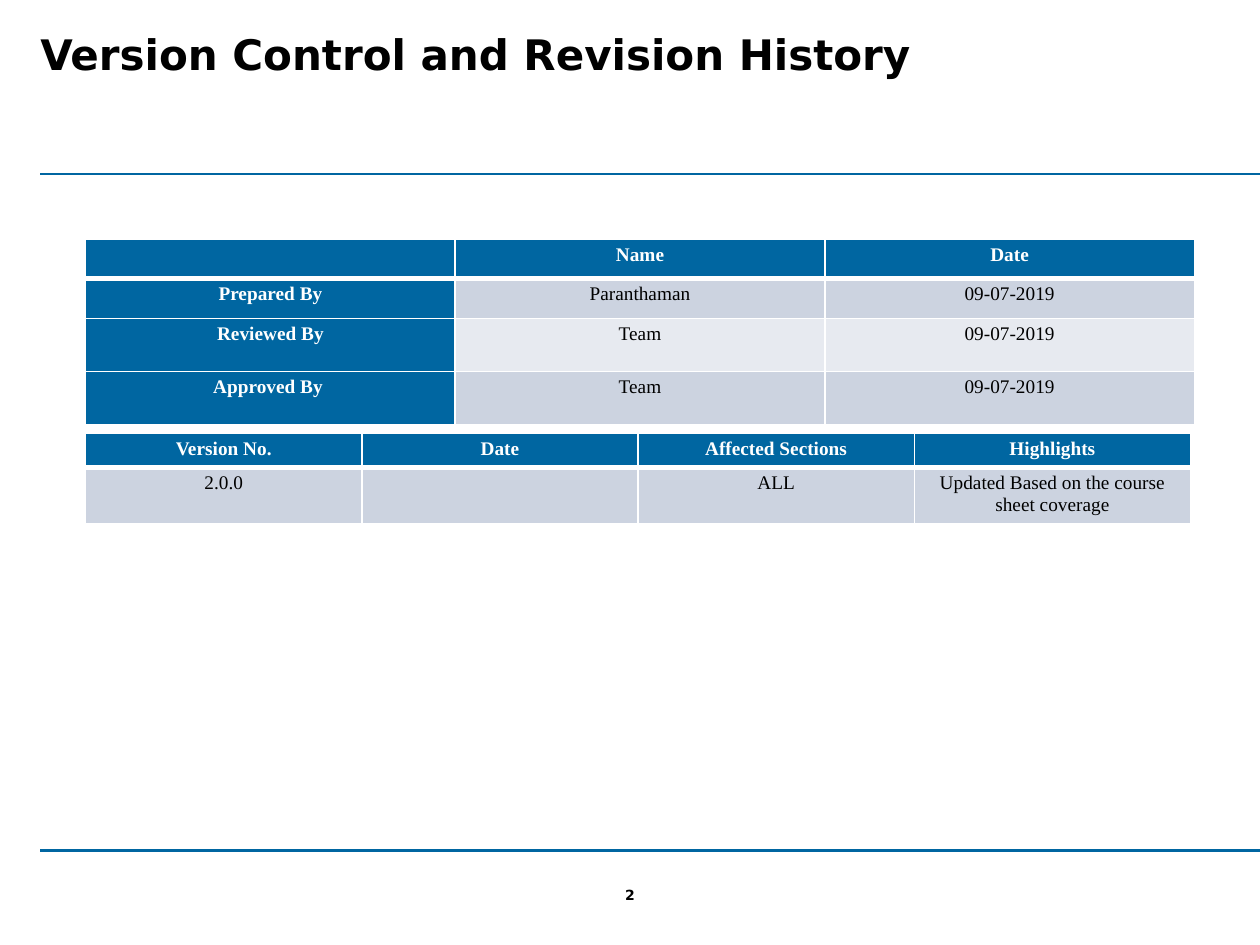
from dataclasses import dataclass

from lxml import etree
from pptx import Presentation
from pptx import util as u
from pptx.dml.color import RGBColor
from pptx.enum import shapes, text
from pptx.oxml import ns


@dataclass(frozen=True)
class Theme:
    blue: str = "0066A1"
    bands: tuple = ("CCD3E0", "E7EAF0")
    white: str = "FFFFFF"
    black: str = "000000"
    heading_face: str = "DejaVu Sans"
    table_face: str = "Times New Roman"
    title_size: int = 24
    table_size: int = 11
    number_size: int = 8
    rule_width: float = 1.25
    thin_border: int = 1
    header_border: int = 3


THEME = Theme()


def style(paragraph, face, size, color, bold):
    font = paragraph.font
    font.name, font.size, font.bold = face, u.Pt(size), bold
    font.color.rgb = RGBColor.from_string(color)


def add_label(slide, words, box, size, align, anchor, inset=0):
    label = slide.shapes.add_textbox(*map(u.Inches, box))
    frame = label.text_frame
    frame.word_wrap = True
    frame.vertical_anchor = anchor
    frame.margin_left = frame.margin_right = 0
    frame.margin_top = frame.margin_bottom = u.Inches(inset)
    paragraph = frame.paragraphs[0]
    paragraph.text = words
    paragraph.alignment = align
    style(paragraph, THEME.heading_face, size, THEME.black, True)


def add_rule(slide, y):
    rule = slide.shapes.add_connector(
        shapes.MSO_CONNECTOR.STRAIGHT,
        u.Inches(0.32), u.Inches(y), u.Inches(10), u.Inches(y))
    rule.line.color.rgb = RGBColor.from_string(THEME.blue)
    rule.line.width = u.Pt(THEME.rule_width)
    etree.SubElement(rule._element.spPr, ns.qn("a:effectLst"))


def add_borders(cell, top, bottom):
    properties = cell._tc.get_or_add_tcPr()
    sides = {"L": THEME.thin_border, "R": THEME.thin_border, "T": top, "B": bottom}
    for side, width in sides.items():
        border = etree.SubElement(properties, ns.qn(f"a:ln{side}"), w=str(u.Pt(width)))
        fill = etree.SubElement(border, ns.qn("a:solidFill"))
        etree.SubElement(fill, ns.qn("a:srgbClr"), val=THEME.white)


def fill_cell(cell, words, row, is_heading):
    add_borders(
        cell,
        THEME.header_border if row == 1 else THEME.thin_border,
        THEME.header_border if row == 0 else THEME.thin_border)
    cell.fill.solid()
    band = THEME.bands[(row - 1) % 2]
    cell.fill.fore_color.rgb = RGBColor.from_string(THEME.blue if is_heading else band)
    cell.margin_left = cell.margin_right = u.Inches(0.07)
    cell.margin_top = cell.margin_bottom = u.Inches(0.04)
    paragraph = cell.text_frame.paragraphs[0]
    if words:
        paragraph.text = words
    paragraph.alignment = text.PP_ALIGN.CENTER
    style(paragraph, THEME.table_face, THEME.table_size,
          THEME.white if is_heading else THEME.black, is_heading)


def add_grid(slide, records, top, width, heights, heading_column=False):
    columns = len(records[0])
    grid = slide.shapes.add_table(
        len(records), columns, u.Inches(0.68), u.Inches(top),
        u.Inches(width), u.Inches(sum(heights))).table
    grid.first_col = heading_column
    for column in grid.columns:
        column.width = u.Inches(width / columns)
    for row, (record, height) in enumerate(zip(records, heights)):
        grid.rows[row].height = u.Inches(height)
        for column, words in enumerate(record):
            is_heading = row == 0 or (heading_column and column == 0)
            fill_cell(grid.cell(row, column), words, row, is_heading)


def main():
    deck = Presentation()
    deck.slide_width, deck.slide_height = u.Inches(10), u.Inches(7.5)
    slide = deck.slides.add_slide(deck.slide_layouts[6])

    add_label(slide, "2", (4.89, 7.04, 0.22, 0.13), THEME.number_size,
              text.PP_ALIGN.CENTER, text.MSO_ANCHOR.MIDDLE)
    for y in (1.38, 6.75):
        add_rule(slide, y)
    add_label(slide, "Version Control and Revision History",
              (0.32, 0.18, 9.49, 1.05), THEME.title_size,
              text.PP_ALIGN.LEFT, text.MSO_ANCHOR.TOP, inset=0.05)

    approvals = [
        ("", "Name", "Date"),
        ("Prepared By", "Paranthaman", "09-07-2019"),
        ("Reviewed By", "Team", "09-07-2019"),
        ("Approved By ", "Team", "09-07-2019"),
    ]
    add_grid(slide, approvals, 1.9, 8.8, (0.31, 0.32, 0.42, 0.42), heading_column=True)

    revisions = [
        ("Version No.", "Date", "Affected Sections", "Highlights"),
        ("2.0.0", "", "ALL", "Updated Based on the course sheet coverage"),
    ]
    add_grid(slide, revisions, 3.44, 8.77, (0.27, 0.41))

    deck.save("out.pptx")


if __name__ == "__main__":
    main()
